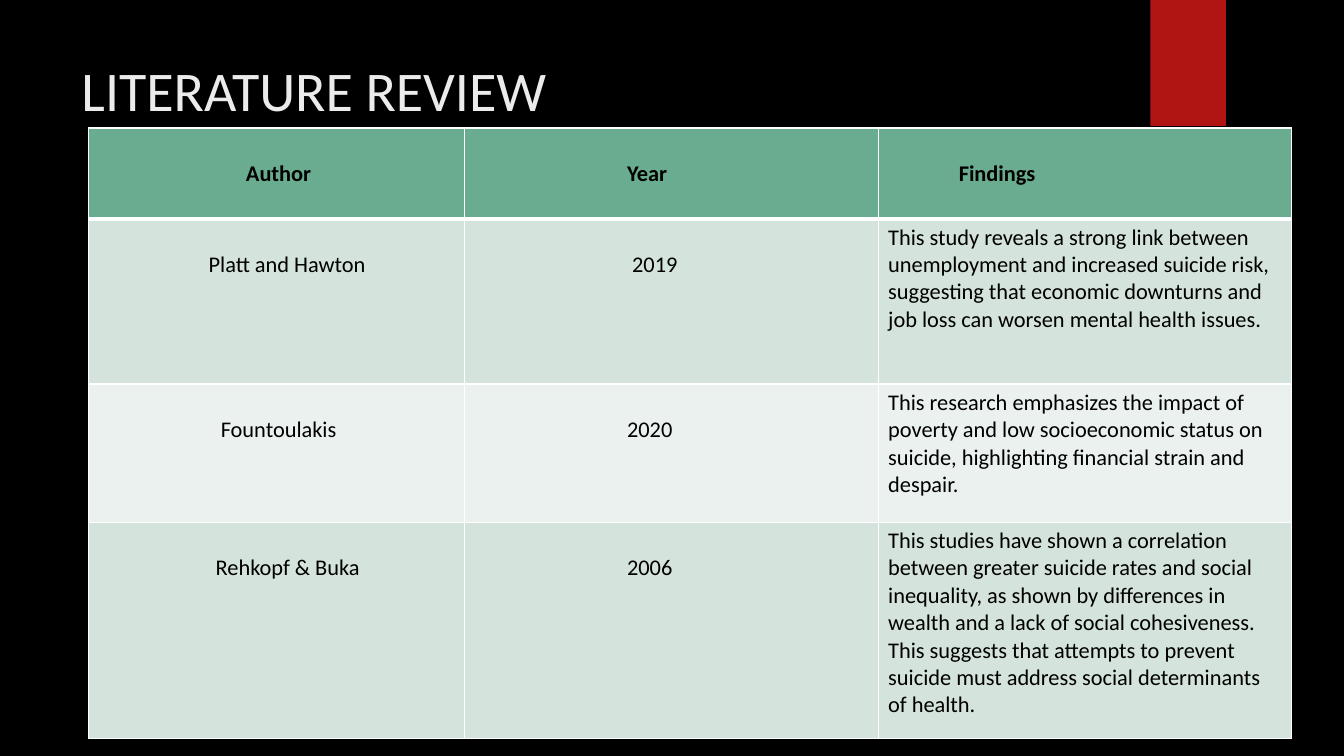
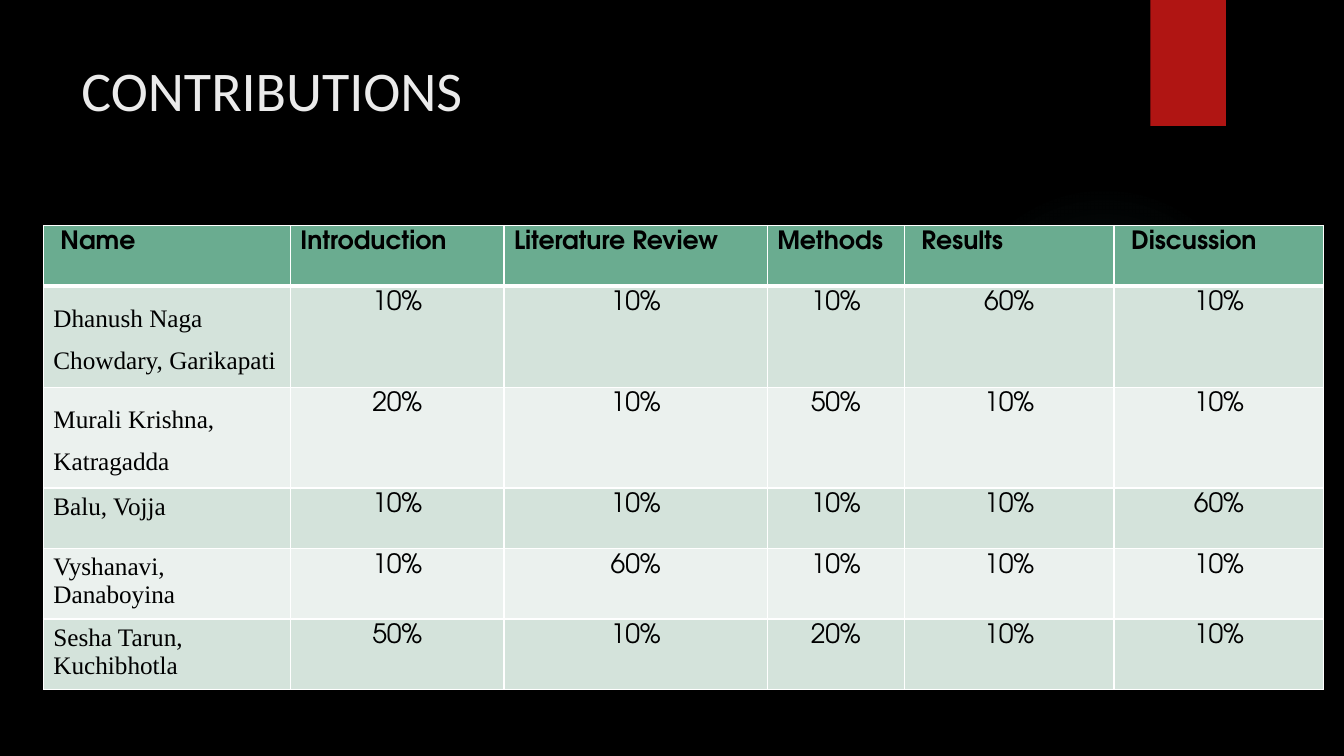
from pptx import Presentation
from pptx.dml.color import RGBColor
from pptx.enum.shapes import MSO_SHAPE
from pptx.enum.text import PP_ALIGN
from pptx.oxml import parse_xml
from pptx.oxml.ns import nsdecls, qn
from pptx.util import Inches, Pt

# Shared style
BLACK, WHITE, RED, TEAL, TITLE_GREY = "000000", "FFFFFF", "B01513", "50B9C1", "EBEBEB"
HEADER_FILL, BAND_FILLS = "6AAC90", ("D4E3DB", "EBF1EE")
GLOW_STOPS = [(0, 7), (36, 6), (69, 0)]  # position and opacity in percent
BODY_FONT, NAME_FONT, GRID_FONT = "Calibri", "Times New Roman", "TeX Gyre Adventor"
SIDE_MARGIN, TOP_MARGIN, LOWERED_MARGIN = 0.1, 0.05, 0.32

# Literature review: each short entry has its own left margin
REVIEW_COLUMNS, REVIEW_ROWS = [3.73, 4.1, 4.1], [0.9, 1.64, 1.37, 2.15]
REVIEW = [
    [("Author", 1.56), ("Year", 1.61), ("Findings", 0.8)],
    [("Platt and Hawton", 1.19), ("2019", 1.66),
     "This study reveals a strong link between unemployment and increased suicide risk, "
     "suggesting that economic downturns and job loss can worsen mental health issues."],
    [("Fountoulakis", 1.31), ("2020", 1.61),
     "This research emphasizes the impact of poverty and low socioeconomic status on suicide, "
     "highlighting financial strain and despair."],
    [("Rehkopf & Buka", 1.26), ("2006", 1.61),
     "This studies have shown a correlation between greater suicide rates and social inequality, "
     "as shown by differences in wealth and a lack of social cohesiveness. This suggests that "
     "attempts to prevent suicide must address social determinants of health."],
]

# Contributions: header with left margins, then name, line spacing and percentages
SHARE_COLUMNS = [2.45, 2.12, 2.61, 1.36, 2.08, 2.08]
SHARE_ROWS = [0.6, 0.92, 0.93, 0.6, 0.66, 0.66]
SHARE_HEADER = [("Name", 0.17), ("Introduction", 0.1), ("Literature Review", 0.1),
                ("Methods", 0.1), ("Results", 0.17), ("Discussion", 0.17)]
SHARES = [
    ("Dhanush Naga Chowdary, Garikapati", 1.5, [10, 10, 10, 60, 10]),
    ("Murali Krishna, Katragadda", 1.5, [20, 10, 50, 10, 10]),
    ("Balu, Vojja", 1, [10, 10, 10, 10, 60]),
    ("Vyshanavi, Danaboyina", 1, [10, 60, 10, 10, 10]),
    ("Sesha Tarun, Kuchibhotla", 1, [50, 10, 20, 10, 10]),
]


def color(value):
    return RGBColor.from_string(value)


def write(paragraph, text, size, font, ink=BLACK, bold=False):
    run = paragraph.add_run()
    run.text = text
    run.font.size, run.font.name, run.font.bold = Pt(size), font, bold
    run.font.color.rgb = color(ink)


def add_shape(slide, kind, *box):
    shape = slide.shapes.add_shape(kind, *map(Inches, box))
    shape.shadow.inherit = False
    shape.line.fill.background()
    return shape


def add_glow(slide):
    glow = add_shape(slide, MSO_SHAPE.OVAL, 9.41, 1.83, 3.08, 3.08)
    glow.fill.background()
    stops = "".join(
        f'<a:gs pos="{position * 1000}"><a:srgbClr val="{TEAL}">'
        f'<a:alpha val="{opacity * 1000}"/></a:srgbClr></a:gs>'
        for position, opacity in GLOW_STOPS)
    gradient = parse_xml(
        f'<a:gradFill {nsdecls("a")}><a:gsLst>{stops}</a:gsLst><a:path path="circle">'
        '<a:fillToRect l="50000" t="50000" r="50000" b="50000"/></a:path></a:gradFill>')
    properties = glow._element.spPr
    properties.replace(properties.find(qn("a:noFill")), gradient)


def add_base(presentation, title):
    """Blank slide with glow, red tab and title."""
    slide = presentation.slides.add_slide(presentation.slide_layouts[6])
    slide.background.fill.solid()
    slide.background.fill.fore_color.rgb = color(BLACK)
    add_glow(slide)
    tab = add_shape(slide, MSO_SHAPE.RECTANGLE, 11.41, 0, 0.75, 1.25)
    tab.fill.solid()
    tab.fill.fore_color.rgb = color(RED)
    frame = slide.shapes.add_textbox(*map(Inches, (0.71, 0.5, 10.29, 1.53))).text_frame
    frame.word_wrap = True
    write(frame.paragraphs[0], title, 40, BODY_FONT, TITLE_GREY)
    return slide


def set_borders(cell, row):
    """White grid with a thick rule under the header."""
    widths = {"lnL": 1, "lnR": 1, "lnT": 3 if row == 1 else 1, "lnB": 3 if row == 0 else 1}
    properties = cell._tc.get_or_add_tcPr()
    for index, (side, width) in enumerate(widths.items()):
        properties.insert(index, parse_xml(
            f'<a:{side} {nsdecls("a")} w="{Pt(width)}"><a:solidFill>'
            f'<a:srgbClr val="{WHITE}"/></a:solidFill></a:{side}>'))


def add_grid(slide, left, top, columns, rows):
    """Filled and ruled table, ready for text."""
    box = map(Inches, (left, top, sum(columns), sum(rows)))
    table = slide.shapes.add_table(len(rows), len(columns), *box).table
    table.horz_banding = False
    for column, width in zip(table.columns, columns):
        column.width = Inches(width)
    for index, height in enumerate(rows):
        table.rows[index].height = Inches(height)
        for cell in table.rows[index].cells:
            cell.fill.solid()
            cell.fill.fore_color.rgb = color(BAND_FILLS[(index - 1) % 2] if index else HEADER_FILL)
            set_borders(cell, index)
    return table


def fill_cell(cell, text, size, font, bold=False, left=SIDE_MARGIN, top=TOP_MARGIN,
              align=PP_ALIGN.LEFT, spacing=None):
    cell.margin_left, cell.margin_top = Inches(left), Inches(top)
    paragraph = cell.text_frame.paragraphs[0]
    paragraph.alignment = align
    if spacing:
        paragraph.line_spacing = spacing
    write(paragraph, text, size, font, bold=bold)


def build_review(presentation):
    table = add_grid(add_base(presentation, "LITERATURE REVIEW"),
                     0.88, 1.27, REVIEW_COLUMNS, REVIEW_ROWS)
    for row, entries in enumerate(REVIEW):
        for column, entry in enumerate(entries):
            cell = table.cell(row, column)
            if isinstance(entry, tuple):
                text, left = entry
                fill_cell(cell, text, 16, BODY_FONT, row == 0, left, LOWERED_MARGIN)
            else:
                fill_cell(cell, entry, 16, BODY_FONT)


def build_contributions(presentation):
    table = add_grid(add_base(presentation, "CONTRIBUTIONS"),
                     0.43, 2.24, SHARE_COLUMNS, SHARE_ROWS)
    for column, (text, left) in enumerate(SHARE_HEADER):
        fill_cell(table.cell(0, column), text, 18, GRID_FONT, True, left)
    for row, (name, spacing, shares) in enumerate(SHARES, 1):
        fill_cell(table.cell(row, 0), name, 18, NAME_FONT, spacing=spacing)
        for column, share in enumerate(shares, 1):
            fill_cell(table.cell(row, column), f"{share}%", 19, GRID_FONT, align=PP_ALIGN.CENTER)


def main():
    presentation = Presentation()
    presentation.slide_width, presentation.slide_height = Inches(13.33), Inches(7.5)
    build_review(presentation)
    build_contributions(presentation)
    presentation.save("out.pptx")


if __name__ == "__main__":
    main()
